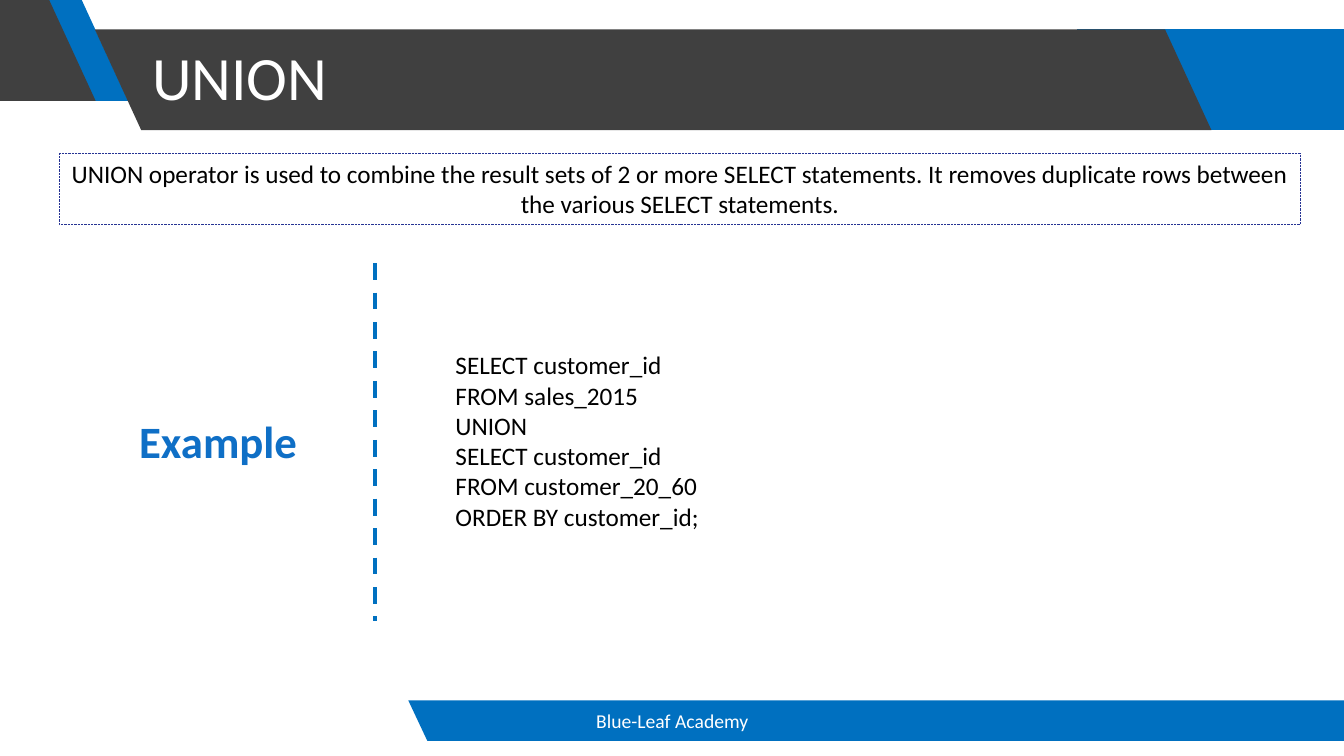
"""Build a slide that explains the SQL UNION operator."""
from dataclasses import dataclass

from lxml import etree
from pptx import Presentation
from pptx import util as u
from pptx.dml.color import RGBColor
from pptx.enum import dml, shapes, text
from pptx.oxml import ns

TITLE = "UNION"
DEFINITION = (
    "UNION operator is used to combine the result sets of 2 or more SELECT statements. "
    "It removes duplicate rows between the various SELECT statements."
)
EXAMPLE = "Example"
QUERY = [
    "SELECT customer_id",
    "FROM sales_2015",
    "UNION",
    "SELECT customer_id",
    "FROM customer_20_60",
    "ORDER BY customer_id;",
]
FOOTER = "Blue-Leaf Academy"


@dataclass(frozen=True)
class Theme:
    """Colours, type sizes and font of the slide."""
    blue: str = "0070C0"
    dark: str = "404040"
    label: str = "0F6FC6"
    frame: str = "263393"
    white: str = "FFFFFF"
    black: str = "000000"
    font: str = "Calibri"
    title_size: int = 44
    label_size: int = 32
    body_size: int = 18
    footer_size: int = 14


THEME = Theme()
WIDTH, HEIGHT = 33.87, 19.05
SLANT = 1.17
HEADER_TOP, HEADER_HEIGHT = 0.74, 2.54
FOOTER_TOP, FOOTER_HEIGHT = 17.65, 1.02

BANDS = [
    (27.13, WIDTH, HEADER_TOP, HEADER_HEIGHT, 0, 0, THEME.blue),
    (0.86, 2.06, 0, HEADER_HEIGHT, SLANT, SLANT, THEME.blue),
    (0, 1.24, 0, HEADER_HEIGHT, 0, SLANT, THEME.dark),
    (2.39, 29.36, HEADER_TOP, HEADER_HEIGHT, SLANT, SLANT, THEME.dark),
    (10.29, WIDTH, FOOTER_TOP, FOOTER_HEIGHT, 0.48, 0, THEME.blue),
]


def add_band(slide, left, right, top, height, left_slant, right_slant, color):
    """Draw a filled band whose ends lean to the right by the given slants."""
    bottom = top + height
    corners = [(left, top), (right, top), (right + right_slant, bottom), (left + left_slant, bottom)]
    points = [(u.Cm(x), u.Cm(y)) for x, y in corners]
    builder = slide.shapes.build_freeform(*points[0])
    builder.add_line_segments(points[1:], close=True)
    band = builder.convert_to_shape()
    band.shadow.inherit = False
    band.fill.solid()
    band.fill.fore_color.rgb = RGBColor.from_string(color)
    band.line.fill.background()


def write(shape, lines, *, size, color=THEME.black, bold=False, align=text.PP_ALIGN.LEFT,
          anchor=text.MSO_ANCHOR.TOP, spacing=1.0):
    """Fill a shape with one paragraph per line in a single format."""
    frame = shape.text_frame
    frame.word_wrap = True
    frame.auto_size = text.MSO_AUTO_SIZE.NONE
    frame.vertical_anchor = anchor
    frame.text = "\n".join(lines)
    for paragraph in frame.paragraphs:
        paragraph.alignment = align
        paragraph.line_spacing = spacing
        font = paragraph.font
        font.name, font.size, font.bold = THEME.font, u.Pt(size), bold
        font.color.rgb = RGBColor.from_string(color)


def add_text(slide, box, lines, **style):
    """Add a text box at left, top, width and height in centimetres."""
    shape = slide.shapes.add_textbox(*map(u.Cm, box))
    write(shape, lines, **style)
    return shape


def set_line(line, color, width, dash):
    """Format a line with its colour, width in points and dash style."""
    line.color.rgb = RGBColor.from_string(color)
    line.width = u.Pt(width)
    line.dash_style = dash


def add_divider(slide, x, top, bottom):
    """Add the dashed vertical line beside the example label."""
    divider = slide.shapes.add_connector(
        shapes.MSO_CONNECTOR.STRAIGHT, u.Cm(x), u.Cm(top), u.Cm(x), u.Cm(bottom))
    set_line(divider.line, THEME.blue, 3, dml.MSO_LINE.DASH)
    etree.SubElement(divider.element.spPr, ns.qn("a:effectLst"))


def main():
    """Compose the slide and save it."""
    presentation = Presentation()
    presentation.slide_width, presentation.slide_height = u.Cm(WIDTH), u.Cm(HEIGHT)
    slide = presentation.slides.add_slide(presentation.slide_layouts[5])
    center, middle = text.PP_ALIGN.CENTER, text.MSO_ANCHOR.MIDDLE

    for band in BANDS:
        add_band(slide, *band)

    title = slide.shapes.title
    title.left, title.top, title.width, title.height = map(u.Cm, (3.58, 0.18, 25.76, 3.68))
    write(title, [TITLE], size=THEME.title_size, color=THEME.white, anchor=middle, spacing=0.9)
    title.element.getparent().append(title.element)

    add_text(slide, (11.23, FOOTER_TOP, 11.43, FOOTER_HEIGHT), [FOOTER],
             size=THEME.footer_size, color=THEME.white, align=center, anchor=middle)
    definition = add_text(slide, (1.5, 3.86, 31.27, 1.8), [DEFINITION],
                          size=THEME.body_size, align=center)
    set_line(definition.line, THEME.frame, 0.5, dml.MSO_LINE.ROUND_DOT)
    add_divider(slide, 9.45, 6.63, 15.65)
    add_text(slide, (11.23, 8.69, 20.98, 4.88), QUERY, size=THEME.body_size)
    add_text(slide, (1.17, 10.31, 8.66, 1.63), [EXAMPLE],
             size=THEME.label_size, color=THEME.label, bold=True, align=center)
    presentation.save("out.pptx")


if __name__ == "__main__":
    main()
